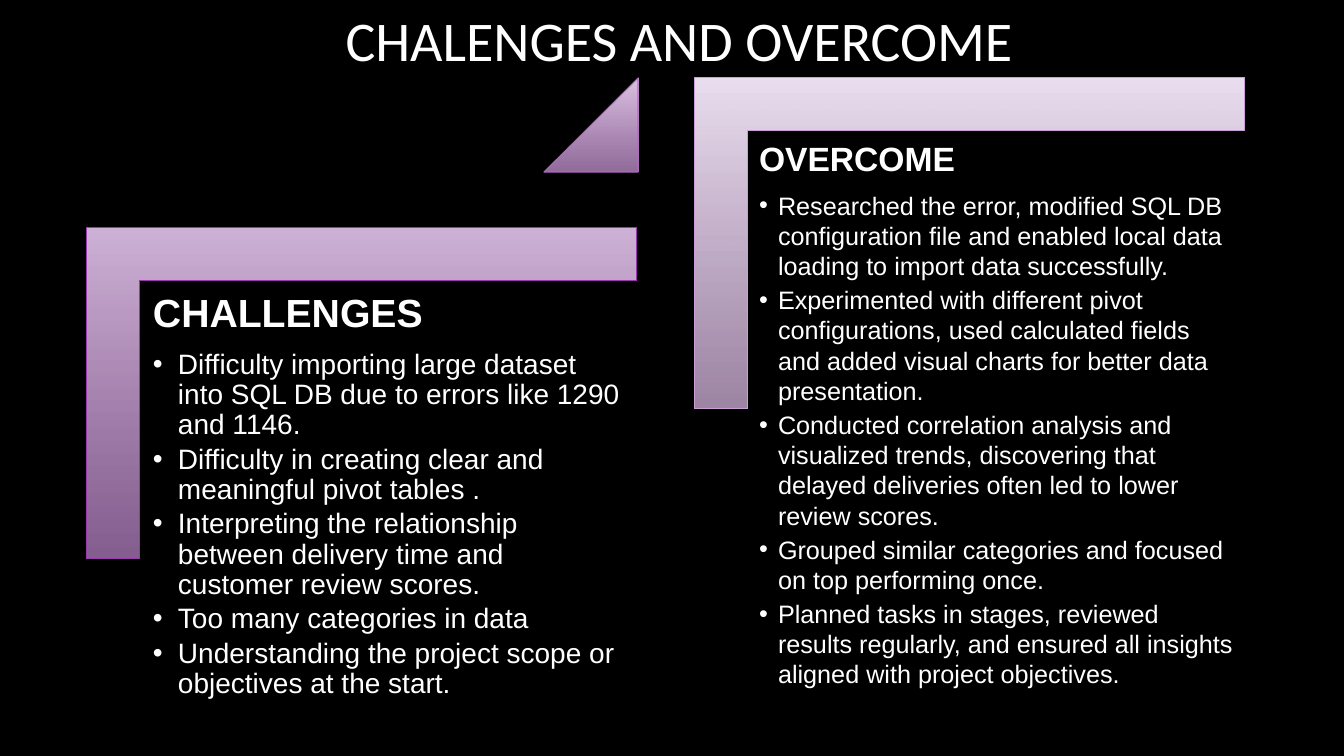
"""Build the challenges and solutions slide with two framed lists."""
import dataclasses

import pptx
import pptx.dml.color
import pptx.enum.shapes
import pptx.enum.text
import pptx.oxml
import pptx.oxml.ns
import pptx.util

SCALE = 914400 / 100.8
COLORS = {
    "background": "000000",
    "text": "FFFFFF",
    "challenges_top": "D0B3D8",
    "challenges_bottom": "B380C1",
    "challenges_line": "9C38AF",
    "step_top": "DEC4E5",
    "step_bottom": "C593D2",
    "step_line": "B567C7",
    "overcome_top": "ECDFF1",
    "overcome_bottom": "D5B5DE",
    "overcome_line": "CA9ED6",
}
CORNER_GUIDES = {"adj1": 16100, "adj2": 16100}


@dataclasses.dataclass(frozen=True)
class Box:
    left: int
    top: int
    width: int
    height: int


@dataclasses.dataclass(frozen=True)
class Ornament:
    palette: str
    preset: str
    box: Box
    guides: dict[str, int]
    rotation: int = 0


@dataclasses.dataclass(frozen=True)
class Panel:
    box: Box
    inset: int
    heading: str
    heading_size: int
    items: tuple[str, ...]
    item_size: int
    indent: int
    item_spacing: float


ORNAMENTS = (
    Ornament("challenges", "corner", Box(196, 118, 331, 550), CORNER_GUIDES, 90),
    Ornament("step", "triangle", Box(544, 78, 94, 94), {"adj": 100000}),
    Ornament("overcome", "corner", Box(804, -32, 331, 550), CORNER_GUIDES, 90),
)
PANELS = (
    Panel(
        Box(141, 282, 496, 435), 12, "CHALLENGES", 28,
        (
            "Difficulty importing large dataset into SQL DB due to errors like 1290 and 1146.",
            "Difficulty in creating clear and meaningful pivot tables .",
            "Interpreting the relationship between delivery time and customer review scores.",
            "Too many categories in data",
            "Understanding the project scope or objectives at the start.",
        ),
        20, 25, 0.9,
    ),
    Panel(
        Box(749, 132, 496, 435), 10, "OVERCOME", 24,
        (
            "Researched the error, modified SQL DB configuration file and enabled local data "
            "loading to import data successfully.",
            "Experimented with different pivot configurations, used calculated fields and added "
            "visual charts for better data presentation.",
            "Conducted correlation analysis and visualized trends, discovering that delayed "
            "deliveries often led to lower review scores.",
            "Grouped similar categories and focused on top performing once.",
            "Planned tasks in stages, reviewed results regularly, and ensured all insights "
            "aligned with project objectives.",
        ),
        18, 19, 1.0,
    ),
)


def px(length: float) -> int:
    """Convert pixels to EMU."""
    return round(length * SCALE)


def color(name: str) -> pptx.dml.color.RGBColor:
    """Look up a named colour."""
    return pptx.dml.color.RGBColor.from_string(COLORS[name])


def place(shape, box: Box) -> None:
    """Move and size a shape."""
    shape.left, shape.top = px(box.left), px(box.top)
    shape.width, shape.height = px(box.width), px(box.height)


def style(paragraph, size: int, font: str, bold: bool = False) -> None:
    """Set the font of a paragraph."""
    paragraph.font.size = pptx.util.Pt(size)
    paragraph.font.name = font
    paragraph.font.bold = bold
    paragraph.font.color.rgb = color("text")


def set_bullet(paragraph, indent: int) -> None:
    """Give a paragraph a hanging bullet, or none when the indent is zero."""
    properties = paragraph._p.get_or_add_pPr()
    properties.set("marL", str(px(indent)))
    properties.set("indent", str(-px(indent)))
    bullet = pptx.oxml.ns.qn("a:buChar" if indent else "a:buNone")
    element = properties.makeelement(bullet, {"char": "•"} if indent else {})
    properties.insert_element_before(element, "a:tabLst", "a:defRPr", "a:extLst")


def set_preset(shape, preset: str, guides: dict[str, int]) -> None:
    """Set the preset geometry and its guide values."""
    geometry = shape._element.spPr.find(pptx.oxml.ns.qn("a:prstGeom"))
    geometry.set("prst", preset)
    guide_list = geometry.find(pptx.oxml.ns.qn("a:avLst"))
    for name, value in guides.items():
        attributes = {"name": name, "fmla": f"val {value}"}
        guide_list.append(guide_list.makeelement(pptx.oxml.ns.qn("a:gd"), attributes))


def draw_title(title) -> None:
    """Fill and format the title placeholder."""
    place(title, Box(47, 0, 1264, 78))
    frame = title.text_frame
    frame.text = "CHALENGES AND OVERCOME"
    frame.vertical_anchor = pptx.enum.text.MSO_ANCHOR.MIDDLE
    frame.paragraphs[0].alignment = pptx.enum.text.PP_ALIGN.CENTER
    style(frame.paragraphs[0], 40, "Calibri")


def draw_ornament(slide, ornament: Ornament) -> None:
    """Draw a preset shape with a fading vertical gradient."""
    shape = slide.shapes.add_shape(pptx.enum.shapes.MSO_SHAPE.RECTANGLE, 0, 0, 0, 0)
    set_preset(shape, ornament.preset, ornament.guides)
    place(shape, ornament.box)
    shape.rotation = ornament.rotation
    shape.shadow.inherit = False
    shape.line.color.rgb = color(f"{ornament.palette}_line")
    shape.line.width = pptx.util.Pt(0.75)
    shape.fill.gradient()
    shape.fill.gradient_angle = 270
    for stop, position, end in zip(shape.fill.gradient_stops, (0, 1), ("top", "bottom")):
        stop.position = position
        stop.color.rgb = color(f"{ornament.palette}_{end}")
    gradient = shape._element.spPr.find(pptx.oxml.ns.qn("a:gradFill"))
    gradient.set("rotWithShape", "0")
    last_color = gradient.findall(".//" + pptx.oxml.ns.qn("a:srgbClr"))[-1]
    last_color.append(last_color.makeelement(pptx.oxml.ns.qn("a:alpha"), {"val": "74000"}))


def draw_panel(placeholder, panel: Panel) -> None:
    """Fill a body placeholder with a heading and its bulleted list."""
    place(placeholder, panel.box)
    frame = placeholder.text_frame
    frame.text = "\n".join((panel.heading, *panel.items))
    frame.word_wrap = True
    frame.auto_size = pptx.enum.text.MSO_AUTO_SIZE.NONE
    frame.vertical_anchor = pptx.enum.text.MSO_ANCHOR.TOP
    frame.margin_left = frame.margin_right = px(panel.inset)
    frame.margin_top = frame.margin_bottom = px(panel.inset)
    for index, paragraph in enumerate(frame.paragraphs):
        is_heading = index == 0
        size = panel.heading_size if is_heading else panel.item_size
        style(paragraph, size, "Arial", is_heading)
        paragraph.line_spacing = 0.9 if is_heading else panel.item_spacing
        paragraph.space_before = pptx.util.Pt(0)
        paragraph.space_after = pptx.util.Pt(size * (0.35 if is_heading else 0.15))
        set_bullet(paragraph, 0 if is_heading else panel.indent)


def main() -> None:
    """Create and save the presentation."""
    presentation = pptx.Presentation()
    presentation.slide_width, presentation.slide_height = px(1344), px(756)
    slide = presentation.slides.add_slide(presentation.slide_layouts.get_by_name("Two Content"))
    slide.background.fill.solid()
    slide.background.fill.fore_color.rgb = color("background")
    title, *bodies = slide.placeholders
    draw_title(title)
    for body, panel in zip(bodies, PANELS):
        draw_panel(body, panel)
    for ornament in ORNAMENTS:
        draw_ornament(slide, ornament)
    presentation.save("out.pptx")


if __name__ == "__main__":
    main()
